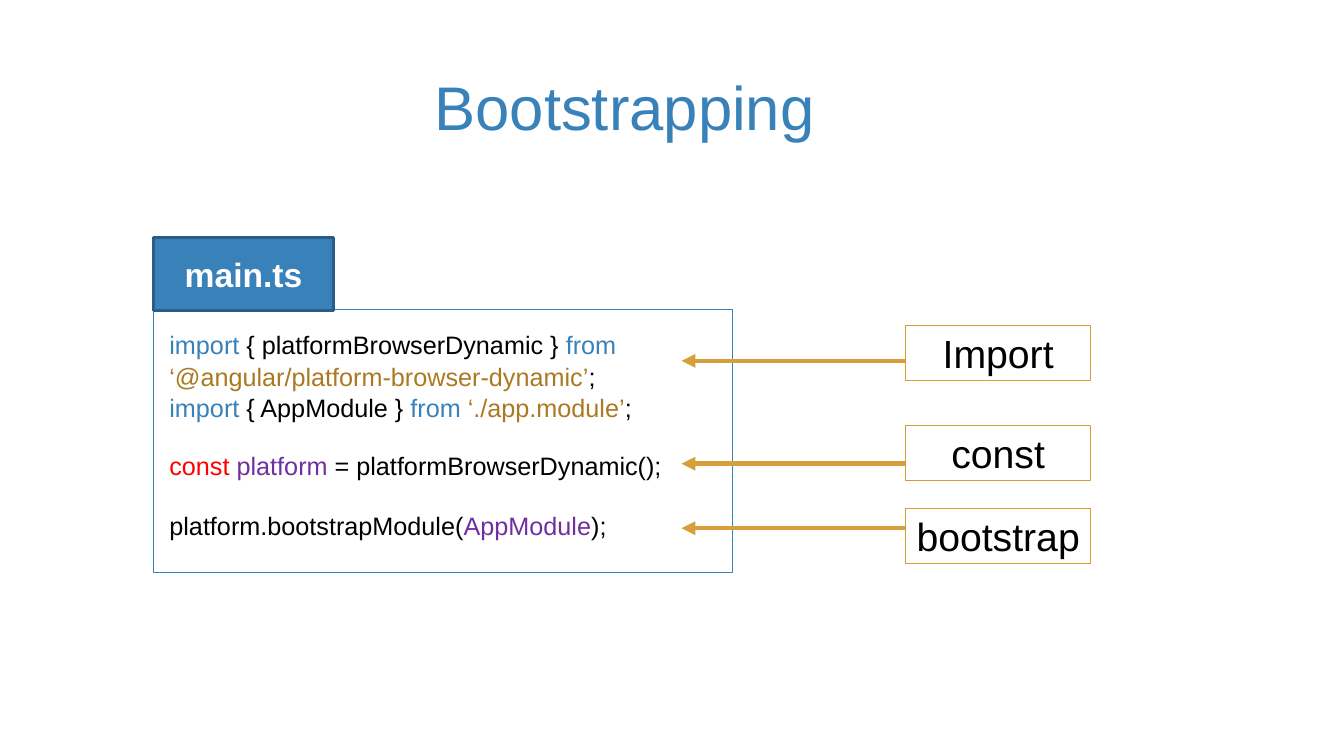
from lxml.etree import SubElement
from pptx import Presentation
from pptx.dml.color import RGBColor
from pptx.enum.shapes import MSO_CONNECTOR, MSO_SHAPE
from pptx.enum.text import MSO_ANCHOR, PP_ALIGN
from pptx.oxml.ns import qn
from pptx.util import Inches, Pt

BLUE, DARK_BLUE, WHITE, BLACK = "3981B9", "285D87", "FFFFFF", "000000"
GOLD, ARROW_GOLD, BROWN = "D69C34", "D79F39", "AB7921"
RED, PURPLE = "FF0000", "6F2F9F"

# Code blocks: top, height, lines of (text, colour)
IMPORTS = (3.25, 0.93, [
    [("import ", BLUE), ("{ platformBrowserDynamic } ", BLACK), ("from", BLUE)],
    [("‘@angular/platform-browser-dynamic’", BROWN), (";", BLACK)],
    [("import ", BLUE), ("{ AppModule } ", BLACK), ("from ", BLUE),
     ("‘./app.module’", BROWN), (";", BLACK)],
])
PLATFORM = (4.45, 0.33, [
    [("const ", RED), ("platform ", PURPLE),
     ("= platformBrowserDynamic();", BLACK)],
])
BOOTSTRAP = (5.05, 0.33, [
    [("platform.bootstrapModule(", BLACK), ("AppModule", PURPLE),
     (");", BLACK)],
])

# Callouts: text, top of the label, height of the arrow
CALLOUTS = [("Import", 3.23, 3.58), ("const", 4.22, 4.6),
            ("bootstrap", 5.04, 5.24)]


def rgb(color):
    return RGBColor.from_string(color)


def style(font, size, color, bold=False):
    font.name, font.size, font.bold = "Arial", Pt(size), bold
    font.color.rgb = rgb(color)


def clear_margins(frame):
    frame.margin_left = frame.margin_right = 0
    frame.margin_top = frame.margin_bottom = 0


def add_title(slide, left, top, width, height):
    title = slide.shapes.title
    title.left, title.top = Inches(left), Inches(top)
    title.width, title.height = Inches(width), Inches(height)
    frame = title.text_frame
    frame.text = "Bootstrapping"
    clear_margins(frame)
    frame.word_wrap = False
    frame.vertical_anchor = MSO_ANCHOR.BOTTOM
    line = frame.paragraphs[0]
    line.alignment = PP_ALIGN.LEFT
    style(line.runs[0].font, 44, BLUE)


def add_box(slide, left, top, width, height, outline, weight, fill=None):
    box = slide.shapes.add_shape(MSO_SHAPE.RECTANGLE, Inches(left), Inches(top),
                                 Inches(width), Inches(height))
    box.shadow.inherit = False
    box.line.color.rgb = rgb(outline)
    box.line.width = Pt(weight)
    if fill:
        box.fill.solid()
        box.fill.fore_color.rgb = rgb(fill)
    else:
        box.fill.background()
    return box


def add_caption(box, text, size, color, bold=False):
    frame = box.text_frame
    frame.text = text
    clear_margins(frame)
    frame.word_wrap = False
    frame.vertical_anchor = MSO_ANCHOR.MIDDLE
    frame.paragraphs[0].alignment = PP_ALIGN.CENTER
    style(frame.paragraphs[0].runs[0].font, size, color, bold)


def add_code(slide, left, top, width, height, lines):
    code = slide.shapes.add_textbox(Inches(left), Inches(top),
                                    Inches(width), Inches(height))
    frame = code.text_frame
    clear_margins(frame)
    frame.word_wrap = False
    for index, pieces in enumerate(lines):
        line = frame.add_paragraph() if index else frame.paragraphs[0]
        line.line_spacing = 1.05
        for text, color in pieces:
            run = line.add_run()
            run.text = text
            style(run.font, 18, color)


def add_listing(slide, left, top, width, height):
    # Frame, file name tab and code
    add_box(slide, left, top, width, height, BLUE, 0.72)
    tab = add_box(slide, left, top - 0.71, 1.79, 0.72, DARK_BLUE, 2.04, BLUE)
    add_caption(tab, "main.ts", 24, WHITE, bold=True)
    for code_top, code_height, lines in (IMPORTS, PLATFORM, BOOTSTRAP):
        add_code(slide, left + 0.16, code_top, 4.89, code_height, lines)


def add_arrow(slide, start, end, y):
    arrow = slide.shapes.add_connector(MSO_CONNECTOR.STRAIGHT, Inches(start),
                                       Inches(y), Inches(end), Inches(y))
    arrow.line.color.rgb = rgb(ARROW_GOLD)
    arrow.line.width = Pt(3.3)
    SubElement(arrow.line._get_or_add_ln(), qn("a:tailEnd"), type="triangle")
    SubElement(arrow._element.spPr, qn("a:effectLst"))


def add_callouts(slide, left, width, arrow_tip):
    for text, top, arrow_y in CALLOUTS:
        label = add_box(slide, left, top, width, 0.55, GOLD, 0.72)
        add_caption(label, text, 28, BLACK)
        add_arrow(slide, left, arrow_tip, arrow_y)


def main():
    deck = Presentation()
    deck.slide_width, deck.slide_height = Inches(13.33), Inches(7.5)
    slide = deck.slides.add_slide(deck.slide_layouts[5])
    add_title(slide, 4.31, 0.66, 3.8, 0.76)
    add_listing(slide, 1.52, 3.07, 5.75, 2.61)
    add_callouts(slide, 8.98, 1.84, 6.76)
    deck.save("out.pptx")


if __name__ == "__main__":
    main()
